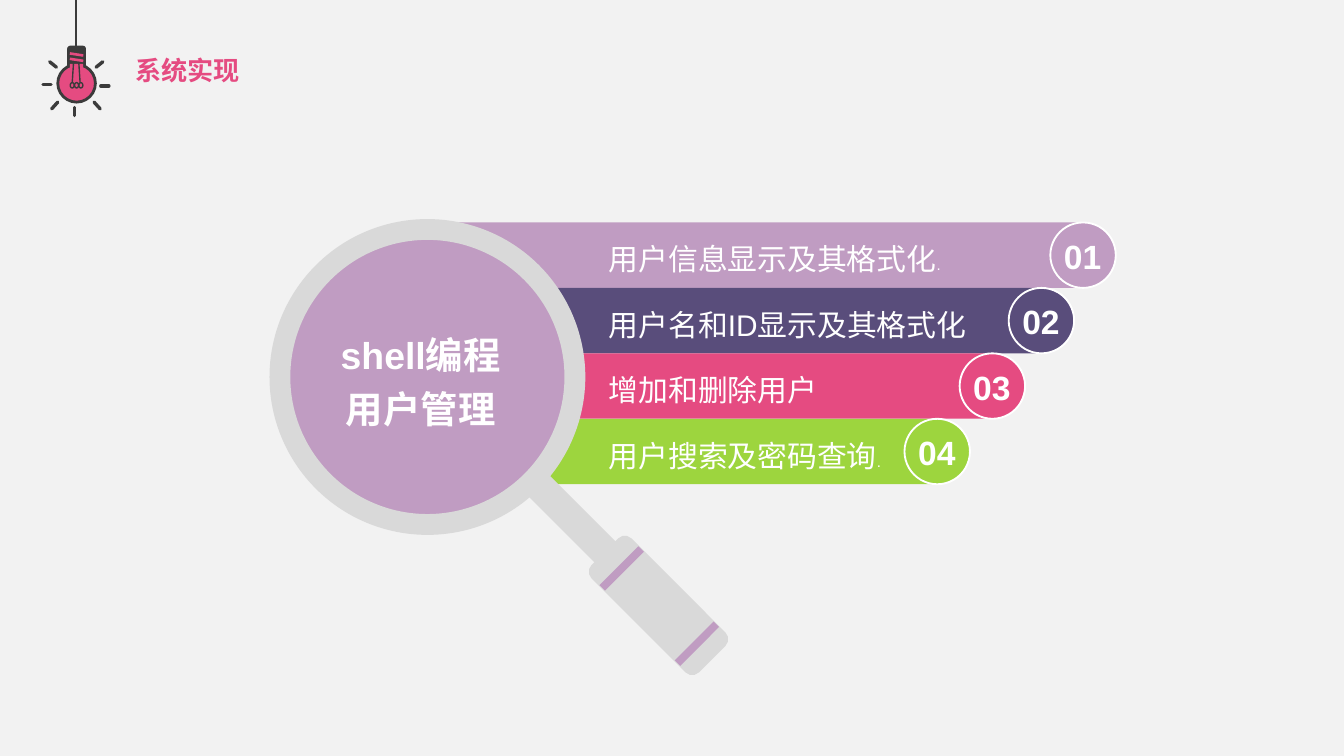
from dataclasses import dataclass

from lxml.etree import SubElement
from pptx import Presentation
from pptx.dml.color import RGBColor
from pptx.enum.shapes import MSO_CONNECTOR, MSO_SHAPE
from pptx.enum.text import MSO_ANCHOR, MSO_AUTO_SIZE, PP_ALIGN
from pptx.oxml.ns import qn
from pptx.shapes.autoshape import Shape
from pptx.slide import Slide
from pptx.util import Inches, Pt

# All lengths are cells of a square grid, 100 columns wide and 56.25 rows high.
COLUMNS, ROWS = 100, 56.25
CELL = Inches(0.1)

MAUVE = RGBColor(0xC0, 0x9C, 0xC2)
INDIGO = RGBColor(0x59, 0x4D, 0x7B)
PINK = RGBColor(0xE5, 0x4B, 0x81)
GREEN = RGBColor(0x9D, 0xD5, 0x3E)
SILVER = RGBColor(0xD9, 0xD9, 0xD9)
CHARCOAL = RGBColor(0x3B, 0x3B, 0x3B)
PAPER = RGBColor(0xF2, 0xF2, 0xF2)
WHITE = RGBColor(0xFF, 0xFF, 0xFF)

NO_MARGINS = dict.fromkeys(("margin_left", "margin_top", "margin_right", "margin_bottom"), 0)
BLOCK = {"word_wrap": True, **NO_MARGINS}
SINGLE_LINE = {"word_wrap": False, "auto_size": MSO_AUTO_SIZE.SHAPE_TO_FIT_TEXT}

BAR_TOP, BAR_HEIGHT, BAR_PITCH = 16.55, 4.87, 4.87
LABEL_LEFT = 45.3
LENS_X, LENS_Y = 31.8, 28.05
RIM_DIAMETER, RIM_THICKNESS = 23.5, 1.55
AXIS_OFFSET = 3.95  # column minus row, the same all along the handle's 45° axis
BULB_X, BULB_Y = 5.7, 6.2
WIRE_X = 5.65


@dataclass
class Bar:
    label: str
    left: float
    badge_left: float
    label_width: float
    color: RGBColor
    ending: str = ""


@dataclass
class HandlePart:
    column: float
    length: float
    thickness: float
    color: RGBColor
    kind: MSO_SHAPE = MSO_SHAPE.RECTANGLE


@dataclass
class Stroke:
    start: tuple[float, float]
    end: tuple[float, float]
    color: RGBColor = CHARCOAL
    weight: float = 1.8
    cap: str = "rnd"


BARS = [
    Bar("用户信息显示及其格式化", 34.1, 78.15, 32.2, MAUVE, "."),
    Bar("用户名和ID显示及其格式化", 31, 75.05, 29.1, INDIGO),
    Bar("增加和删除用户", 27.3, 71.4, 25.1, PINK),
    Bar("用户搜索及密码查询", 26.9, 67.3, 22, GREEN, "."),
]
HANDLE = [
    HandlePart(42.55, 7.6, 2.2, SILVER),
    HandlePart(49, 11.3, 4.2, SILVER, MSO_SHAPE.ROUNDED_RECTANGLE),
    HandlePart(46.25, 0.58, 4.1, MAUVE),
    HandlePart(51.85, 0.58, 4.1, MAUVE),
]
RAYS = [
    Stroke((7.5, 6.4), (8.1, 6.4)),
    Stroke((5.55, 8), (5.55, 8.6)),
    Stroke((3.2, 6.3), (3.8, 6.3)),
    Stroke((3.7, 4.6), (4.2, 5)),
    Stroke((7.65, 4.6), (7.15, 5)),
    Stroke((4.3, 7.6), (3.85, 8.1)),
    Stroke((7, 7.6), (7.45, 8.1)),
]
BULB_DETAILS = [
    Stroke((5.2, 3.98), (6.2, 4.13), PINK, 1.4, "flat"),
    Stroke((5.2, 4.38), (6.2, 4.53), PINK, 1.4, "flat"),
    Stroke((5.47, 4.7), (5.38, 6.1), weight=0.75),
    Stroke((5.87, 4.7), (5.96, 6.1), weight=0.75),
    Stroke((WIRE_X, 0), (WIRE_X, 3.7), weight=1, cap="flat"),
]


def apply(target, formats: dict) -> None:
    for name, value in formats.items():
        setattr(target, name, value)


def cells(*lengths: float) -> list[int]:
    return [round(length * CELL) for length in lengths]


def add_filled(slide: Slide, kind: MSO_SHAPE, area: tuple, fill: RGBColor | None,
               line: RGBColor | None = None, weight: float = 1) -> Shape:
    shape = slide.shapes.add_shape(kind, *cells(*area))
    shape.shadow.inherit = False
    if fill is None:
        shape.fill.background()
    else:
        shape.fill.solid()
        shape.fill.fore_color.rgb = fill
    if line is None:
        shape.line.fill.background()
    else:
        shape.line.color.rgb = line
        shape.line.width = Pt(weight)
    return shape


def centred(x: float, y: float, width: float, height: float) -> tuple:
    return x - width / 2, y - height / 2, width, height


def add_stroke(slide: Slide, stroke: Stroke) -> None:
    connector = slide.shapes.add_connector(
        MSO_CONNECTOR.STRAIGHT, *cells(*stroke.start, *stroke.end))
    connector.line.color.rgb = stroke.color
    connector.line.width = Pt(stroke.weight)
    connector.line._get_or_add_ln().set("cap", stroke.cap)
    SubElement(connector._element.spPr, qn("a:effectLst"))


def write(shape: Shape, lines: list[list[tuple[str, float]]], frame_format: dict,
          paragraph_format: dict, color: RGBColor = WHITE, bold: bool = False) -> None:
    """Fill a shape with lines, each a list of (text, size) runs."""
    frame = shape.text_frame
    apply(frame, frame_format)
    for index, runs in enumerate(lines):
        paragraph = frame.add_paragraph() if index else frame.paragraphs[0]
        apply(paragraph, paragraph_format)
        for text, size in runs:
            run = paragraph.add_run()
            run.text = text
            apply(run.font, {"name": "Arial", "size": Pt(size), "bold": bold})
            run.font.color.rgb = color


def add_text(slide: Slide, area: tuple, *content, **options) -> None:
    write(slide.shapes.add_textbox(*cells(*area)), *content, **options)


def add_bars(slide: Slide) -> None:
    for row, bar in enumerate(BARS):
        top = BAR_TOP + row * BAR_PITCH
        badge = (bar.badge_left, top, BAR_HEIGHT, BAR_HEIGHT)
        width = bar.badge_left + BAR_HEIGHT / 2 - bar.left
        add_filled(slide, MSO_SHAPE.RECTANGLE, (bar.left, top, width, BAR_HEIGHT), bar.color)
        add_filled(slide, MSO_SHAPE.OVAL, badge, bar.color, WHITE)


def add_bar_texts(slide: Slide) -> None:
    for row, bar in enumerate(BARS):
        top = BAR_TOP + row * BAR_PITCH
        runs = [(bar.label, 16)] + ([(bar.ending, 8)] if bar.ending else [])
        add_text(slide, (LABEL_LEFT, top + 0.85, bar.label_width, 3.2), [runs],
                 BLOCK, {"line_spacing": 1.2})
        add_text(slide, (bar.badge_left + 0.03, top + 0.5, 4.8, 4), [[(f"{row + 1:02}", 18)]],
                 SINGLE_LINE, {}, bold=True)


def add_magnifier(slide: Slide) -> None:
    add_filled(slide, MSO_SHAPE.OVAL, centred(LENS_X, LENS_Y, 20.5, 20.5), MAUVE)
    rim = add_filled(slide, MSO_SHAPE.DONUT,
                     centred(LENS_X, LENS_Y, RIM_DIAMETER, RIM_DIAMETER), SILVER)
    rim.adjustments[0] = RIM_THICKNESS / RIM_DIAMETER
    for part in HANDLE:
        area = centred(part.column, part.column - AXIS_OFFSET, part.length, part.thickness)
        shape = add_filled(slide, part.kind, area, part.color)
        shape.rotation = 45
    add_text(slide, (23.35, 24.05, 15.9, 8.1), [[("shell编程", 20)], [("用户管理", 20)]],
             BLOCK, {"alignment": PP_ALIGN.CENTER, "line_spacing": 1.2}, bold=True)


def add_bulb(slide: Slide) -> None:
    add_filled(slide, MSO_SHAPE.OVAL, centred(BULB_X, BULB_Y, 2.8, 2.8), PINK, CHARCOAL, 1.5)
    add_filled(slide, MSO_SHAPE.ROUND_2_SAME_RECTANGLE, (5, 3.4, 1.4, 1.6), CHARCOAL)
    add_filled(slide, MSO_SHAPE.RECTANGLE, (5.2, 4.75, 1, 0.5), PINK)
    for x in (-0.32, 0, 0.32):
        add_filled(slide, MSO_SHAPE.OVAL, centred(BULB_X + x, 6.35, 0.3, 0.4),
                   None, CHARCOAL, 0.75)
    for stroke in BULB_DETAILS + RAYS:
        add_stroke(slide, stroke)


def set_title(slide: Slide) -> None:
    title = slide.shapes.title
    apply(title, dict(zip(("left", "top", "width", "height"), cells(9.05, 3.55, 9.9, 3.4))))
    write(title, [[("系统实现", 14)]], {**SINGLE_LINE, "vertical_anchor": MSO_ANCHOR.TOP},
          {"alignment": PP_ALIGN.LEFT}, color=PINK, bold=True)


def main() -> None:
    presentation = Presentation()
    presentation.slide_width, presentation.slide_height = cells(COLUMNS, ROWS)
    slide = presentation.slides.add_slide(presentation.slide_layouts.get_by_name("Title Only"))
    slide.background.fill.solid()
    slide.background.fill.fore_color.rgb = PAPER
    set_title(slide)
    add_bars(slide)
    add_magnifier(slide)
    add_bar_texts(slide)
    add_bulb(slide)
    presentation.save("out.pptx")


if __name__ == "__main__":
    main()
